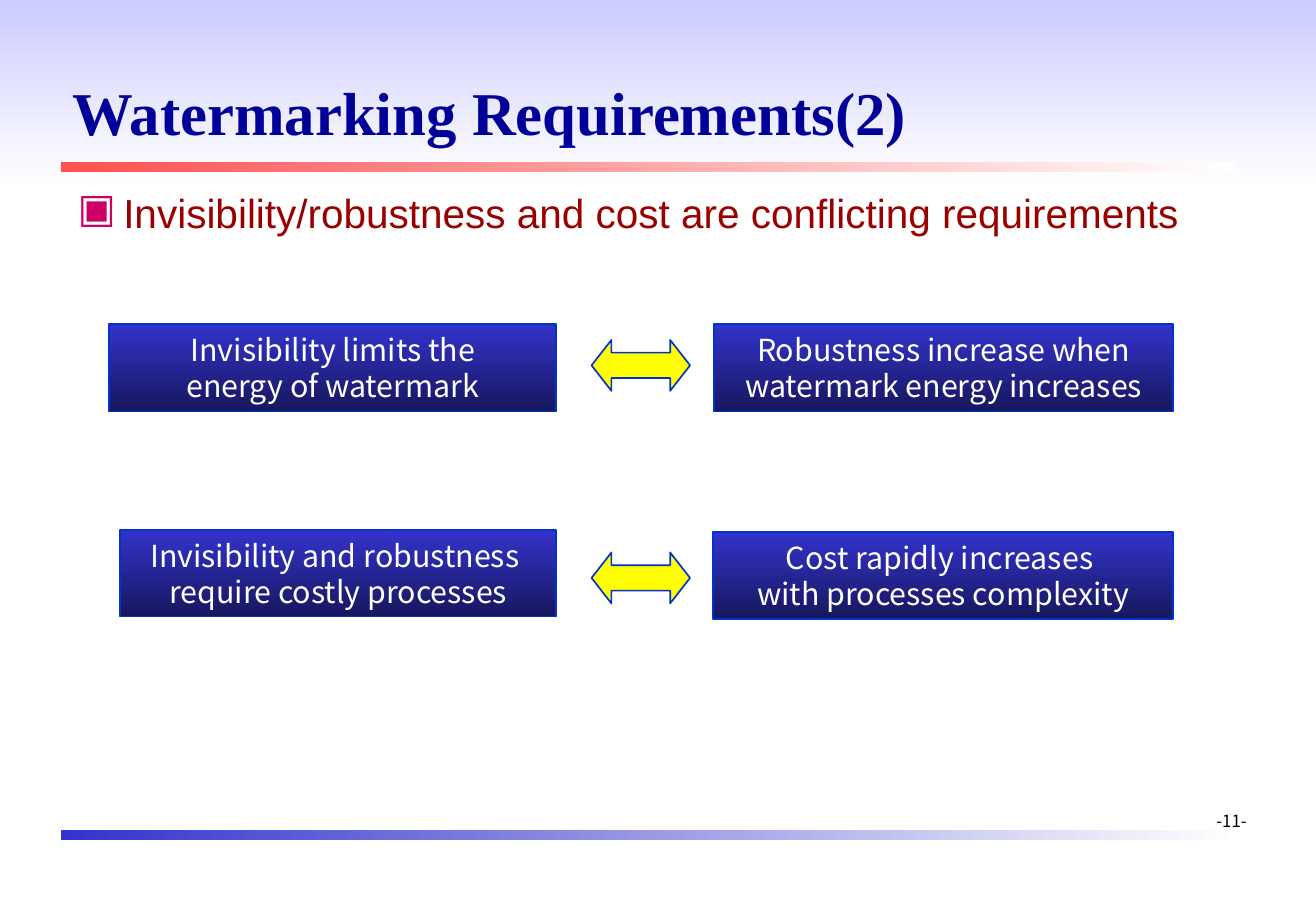
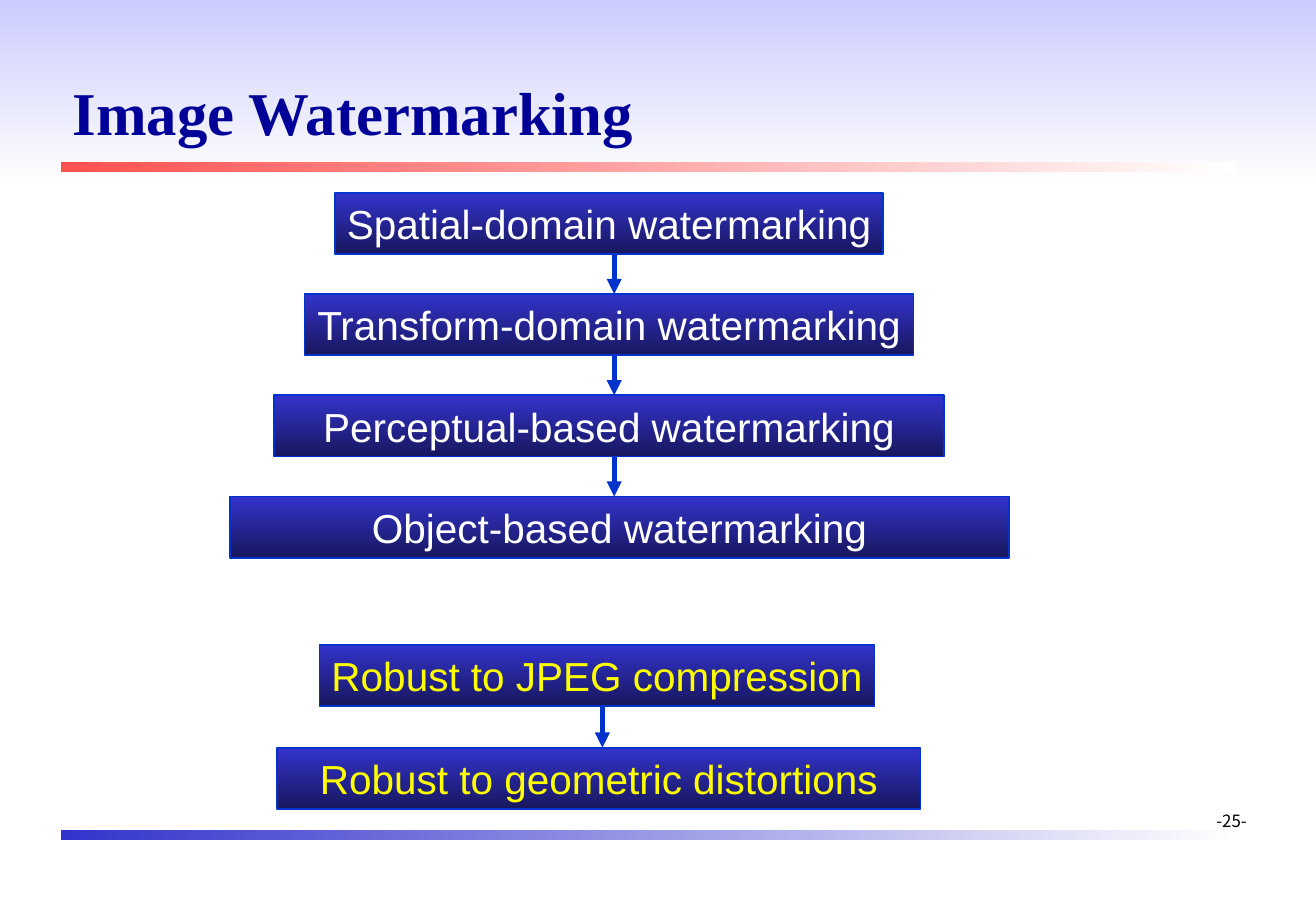
from lxml import etree
from pptx import Presentation
from pptx.dml.color import RGBColor
from pptx.enum.shapes import MSO_CONNECTOR, MSO_SHAPE
from pptx.enum.text import MSO_ANCHOR, PP_ALIGN
from pptx.oxml.ns import qn
from pptx.util import Pt

RECTANGLE = MSO_SHAPE.RECTANGLE
DOUBLE_ARROW = MSO_SHAPE.LEFT_RIGHT_ARROW
STRAIGHT = MSO_CONNECTOR.STRAIGHT
LEFT, CENTER = PP_ALIGN.LEFT, PP_ALIGN.CENTER
TOP, MIDDLE = MSO_ANCHOR.TOP, MSO_ANCHOR.MIDDLE

WHITE = RGBColor(0xFF, 0xFF, 0xFF)
BLACK = RGBColor(0x00, 0x00, 0x00)
YELLOW = RGBColor(0xFF, 0xFF, 0x00)
LAVENDER = RGBColor(0xCC, 0xCC, 0xFF)
OFF_WHITE = RGBColor(0xFE, 0xFE, 0xFE)
CORAL = RGBColor(0xFF, 0x50, 0x50)
BLUE = RGBColor(0x33, 0x33, 0xCC)
DARK_BLUE = RGBColor(0x17, 0x17, 0x5E)
OUTLINE = RGBColor(0x00, 0x33, 0xCC)
NAVY = RGBColor(0x00, 0x00, 0x99)
MAROON = RGBColor(0x99, 0x00, 0x00)
MAGENTA = RGBColor(0xCC, 0x00, 0x66)

SERIF = "Times New Roman"
SANS = "Arial"
CJK = "Noto Sans CJK KR"

DOWNWARD, RIGHTWARD = 270, 0
SLIDE_WIDTH, SLIDE_HEIGHT = 780.13, 540
BOX_HEIGHT = 36.3


def points(*lengths):
    return [Pt(length) for length in lengths]


def write(shape, text, font_name, size, color, align=CENTER, anchor=MIDDLE,
          wrap=True, bold=False, line_spacing=None, space_before=None):
    frame = shape.text_frame
    frame.word_wrap = wrap
    frame.vertical_anchor = anchor
    frame.text = text
    for paragraph in frame.paragraphs:
        paragraph.alignment = align
        paragraph.line_spacing = line_spacing
        paragraph.space_before = space_before
        font = paragraph.font
        font.name = font_name
        font.size = Pt(size)
        font.bold = bold
        font.color.rgb = color
        for run in paragraph.runs:
            east_asian = etree.SubElement(run.font._element, qn("a:ea"))
            east_asian.set("typeface", font_name)
    return frame


def add_gradient(slide, bounds, start, end, angle):
    shape = slide.shapes.add_shape(RECTANGLE, *points(*bounds))
    shape.shadow.inherit = False
    shape.fill.gradient()
    shape.fill.gradient_angle = angle
    for stop, color in zip(shape.fill.gradient_stops, (start, end)):
        stop.color.rgb = color
    shape.line.fill.background()
    return shape


def outline(shape):
    shape.line.color.rgb = OUTLINE
    shape.line.width = Pt(1)


def add_box(slide, bounds, text, **style):
    box = add_gradient(slide, bounds, BLUE, DARK_BLUE, DOWNWARD)
    outline(box)
    write(box, text, wrap=False, **style)


def add_double_arrow(slide, top):
    arrow = slide.shapes.add_shape(DOUBLE_ARROW, *points(350.7, top, 58.4, 30.2))
    arrow.shadow.inherit = False
    arrow.adjustments[0] = 0.5
    arrow.adjustments[1] = 0.39
    arrow.fill.solid()
    arrow.fill.fore_color.rgb = YELLOW
    outline(arrow)


def add_down_arrow(slide, x, top, bottom):
    arrow = slide.shapes.add_connector(STRAIGHT, *points(x, top, x, bottom))
    arrow.line.color.rgb = OUTLINE
    arrow.line.width = Pt(3)
    etree.SubElement(arrow.line._get_or_add_ln(), qn("a:tailEnd"), type="triangle")
    etree.SubElement(arrow._element.spPr, qn("a:effectLst"))


def add_stack(slide, arrow_x, first_top, step, color, rows):
    for index, (left, width, text) in enumerate(rows):
        top = first_top + index * step
        add_box(slide, (left, top, width, BOX_HEIGHT), text, font_name=SANS,
                size=24, color=color, space_before=Pt(6))
        if index:
            add_down_arrow(slide, arrow_x, top - step + BOX_HEIGHT, top)


def add_bullet(slide, text):
    body = slide.shapes.add_textbox(*points(39, 108, 695.5, 372))
    frame = write(body, text, SANS, 24, MAROON, align=LEFT, anchor=TOP,
                  space_before=Pt(6))
    properties = frame.paragraphs[0]._p.get_or_add_pPr()
    properties.set("marL", str(Pt(27)))
    properties.set("indent", str(-Pt(27)))
    bullet_color = etree.Element(qn("a:buClr"))
    etree.SubElement(bullet_color, qn("a:srgbClr"), val=str(MAGENTA))
    bullet = etree.Element(qn("a:buChar"), char="▣")
    defaults = properties.find(qn("a:defRPr"))
    defaults.addprevious(bullet_color)
    defaults.addprevious(bullet)


def add_slide(presentation, title, number):
    slide = presentation.slides.add_slide(presentation.slide_layouts[6])
    add_gradient(slide, (0, 0, SLIDE_WIDTH, 108), LAVENDER, OFF_WHITE, DOWNWARD)
    add_gradient(slide, (36, 96, 696.5, 6), CORAL, WHITE, RIGHTWARD)
    add_gradient(slide, (36, 492, 698.5, 6), BLUE, WHITE, RIGHTWARD)
    page = slide.shapes.add_textbox(*points(701.3, 470.2, 57.6, 33))
    write(page, f"-{number}-", CJK, 10, BLACK)
    heading = slide.shapes.add_textbox(*points(36, 45, 695.5, 42))
    frame = write(heading, title, SERIF, 36, NAVY, align=LEFT, bold=True)
    frame.margin_top = frame.margin_bottom = 0
    return slide


def build_requirements(presentation):
    slide = add_slide(presentation, "Watermarking Requirements(2)", 11)
    add_bullet(slide, "Invisibility/robustness and cost are conflicting requirements")
    boxes = [
        ((64.8, 192, 265, 52), "Invisibility limits the\nenergy of watermark"),
        ((423.3, 192, 272.2, 52), "Robustness increase when\nwatermark energy increases"),
        ((71.3, 314, 258.5, 51.5), "Invisibility and robustness \nrequire costly processes"),
        ((422.6, 315.4, 272.9, 51.5), "Cost rapidly increases \nwith processes complexity"),
    ]
    for bounds, text in boxes:
        add_box(slide, bounds, text, font_name=CJK, size=18, color=WHITE,
                line_spacing=Pt(21.4))
    for top in (201.5, 327.5):
        add_double_arrow(slide, top)


def build_image_watermarking(presentation):
    slide = add_slide(presentation, "Image Watermarking", 25)
    add_stack(slide, 364.1, 114.3, 60, WHITE, [
        (198.5, 325, "Spatial-domain watermarking"),
        (180.5, 361, "Transform-domain watermarking"),
        (162.5, 397, "Perceptual-based watermarking"),
        (136.5, 461.5, "Object-based watermarking"),
    ])
    add_stack(slide, 357.1, 382.2, 61, YELLOW, [
        (189.4, 329, "Robust to JPEG compression"),
        (164.2, 381.6, "Robust to geometric distortions"),
    ])


def main():
    presentation = Presentation()
    presentation.slide_width = Pt(SLIDE_WIDTH)
    presentation.slide_height = Pt(SLIDE_HEIGHT)
    build_requirements(presentation)
    build_image_watermarking(presentation)
    presentation.save("out.pptx")


if __name__ == "__main__":
    main()
